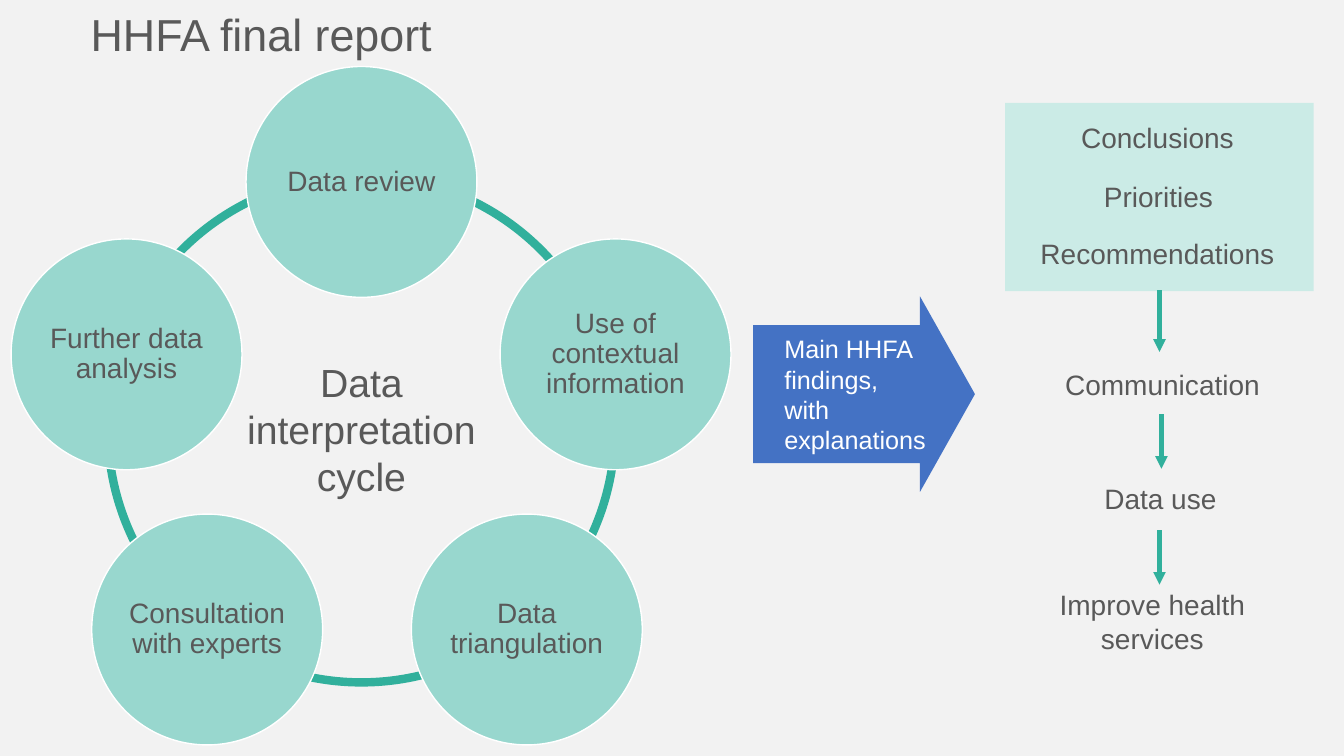
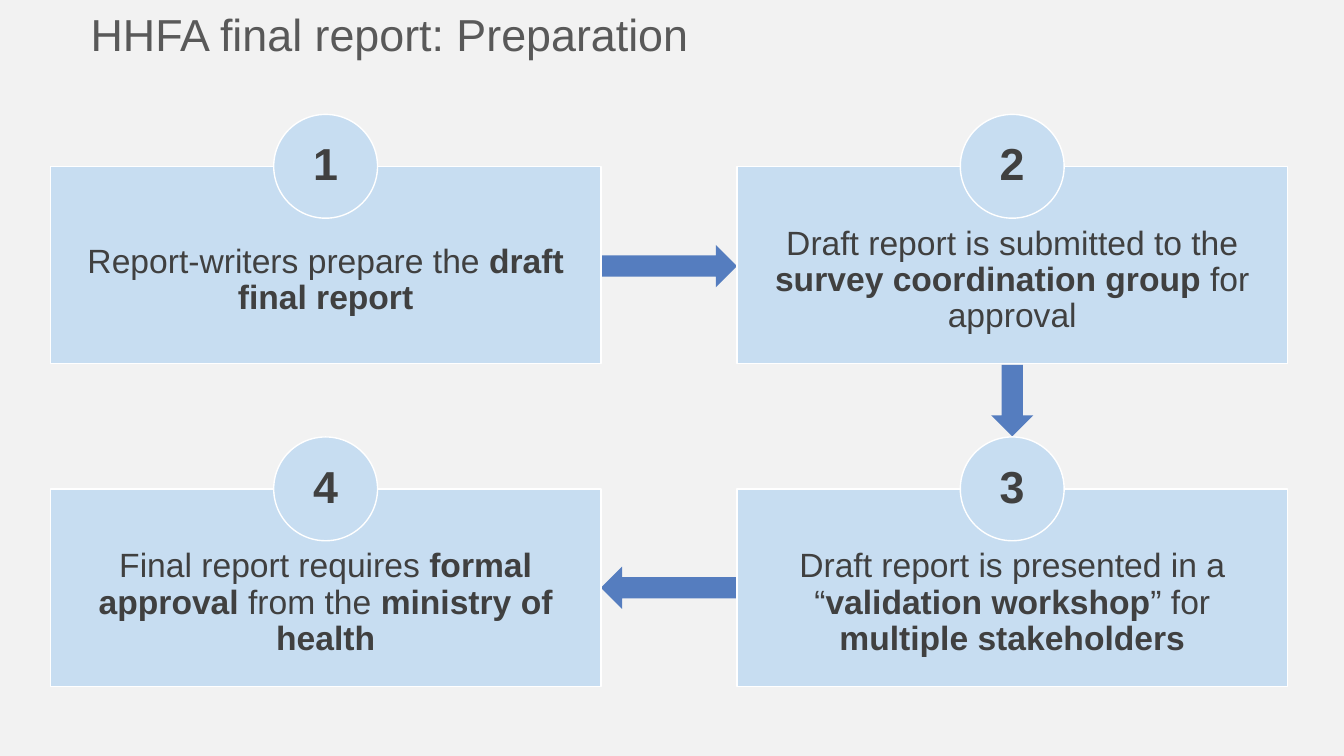
"""Build two slides on the HHFA final report: interpretation cycle and preparation steps."""
from lxml import etree
from pptx import Presentation
from pptx.dml.color import RGBColor
from pptx.enum.shapes import MSO_CONNECTOR, MSO_SHAPE
from pptx.enum.text import MSO_ANCHOR, PP_ALIGN
from pptx.oxml.ns import qn
from pptx.util import Inches, Pt

RECT, OVAL = MSO_SHAPE.RECTANGLE, MSO_SHAPE.OVAL
RIGHT, LEFT, DOWN = MSO_SHAPE.RIGHT_ARROW, MSO_SHAPE.LEFT_ARROW, MSO_SHAPE.DOWN_ARROW
STRAIGHT = MSO_CONNECTOR.STRAIGHT
TOP, MIDDLE = MSO_ANCHOR.TOP, MSO_ANCHOR.MIDDLE
START, CENTER = PP_ALIGN.LEFT, PP_ALIGN.CENTER

FONT = "Arial"
PAGE, WHITE, GREY, DARK = "F2F2F2", "FFFFFF", "595959", "404040"
TEAL, TEAL_MID, TEAL_PALE = "31B09C", "98D7CE", "CBEBE6"
BLUE, BLUE_SOFT, BLUE_PALE = "4472C4", "557DBF", "C7DDF1"


def write_text(shape, text, size=20, color=GREY, align=CENTER, anchor=MIDDLE,
               insets=(0.1, 0.05, 0.1, 0.05), spacing=1.0):
    """Write one paragraph per line; stretches between asterisks are bold."""
    frame = shape.text_frame
    frame.word_wrap = True
    frame.vertical_anchor = anchor
    frame.margin_left, frame.margin_top, frame.margin_right, frame.margin_bottom = map(Inches, insets)
    for index, line in enumerate(text.split("\n")):
        paragraph = frame.add_paragraph() if index else frame.paragraphs[0]
        paragraph.alignment = align
        paragraph.line_spacing = spacing
        for position, part in enumerate(line.split("*")):
            if part:
                run = paragraph.add_run()
                run.text = part
                run.font.name = FONT
                run.font.size = Pt(size)
                run.font.bold = position % 2 == 1
                run.font.color.rgb = RGBColor.from_string(color)


def draw(slide, kind, left, top, width, height, fill=None, line=None, weight=1):
    """Add a flat preset shape with optional fill and outline."""
    shape = slide.shapes.add_shape(kind, Inches(left), Inches(top), Inches(width), Inches(height))
    shape.shadow.inherit = False
    for part, color in ((shape.fill, fill), (shape.line.fill, line)):
        if color:
            part.solid()
            part.fore_color.rgb = RGBColor.from_string(color)
        else:
            part.background()
    if line:
        shape.line.width = Pt(weight)
    return shape


deck = Presentation()
deck.slide_width, deck.slide_height = Inches(13.33), Inches(7.5)

slides = []
for heading in ("HHFA final report", "HHFA final report: Preparation"):
    slide = deck.slides.add_slide(deck.slide_layouts[6])
    slide.background.fill.solid()
    slide.background.fill.fore_color.rgb = RGBColor.from_string(PAGE)
    title = slide.shapes.add_textbox(Inches(0.8), Inches(0.02), Inches(12.4), Inches(0.64))
    write_text(title, heading, size=32, align=START, anchor=TOP)
    slides.append(slide)
cycle_slide, steps_slide = slides

ring = draw(cycle_slide, OVAL, 1.07, 1.74, 5.03, 5.03, line=TEAL, weight=6)
write_text(ring, "Data\ninterpretation\ncycle", size=28, insets=(0, 0, 0, 0))

STAGE_SIZE = 2.29
stages = [
    ("Data review", 2.44, 0.66),
    ("Use of contextual information", 4.96, 2.37),
    ("Data triangulation", 4.08, 5.1),
    ("Consultation with experts", 0.91, 5.1),
    ("Further data analysis", 0.11, 2.37),
]
for text, left, top in stages:
    stage = draw(cycle_slide, OVAL, left, top, STAGE_SIZE, STAGE_SIZE, TEAL_MID, WHITE)
    write_text(stage, text, insets=(0, 0.02, 0, 0.02), spacing=0.9)

findings = draw(cycle_slide, RIGHT, 7.47, 2.94, 2.2, 1.94, BLUE)
findings.adjustments[0], findings.adjustments[1] = 0.705, 0.281
write_text(findings, "Main HHFA findings, with explanations", size=18, color=WHITE,
           align=START, insets=(0.31, 0.05, 0.1, 0.05))

draw(cycle_slide, RECT, 9.97, 1.02, 3.06, 1.87, TEAL_PALE)
outcomes = [
    ("Conclusions", 9.95, 1.11, 0.51),
    ("Priorities", 9.96, 1.69, 0.51),
    ("Recommendations", 9.95, 2.26, 0.51),
    ("Communication", 10, 3.52, 0.59),
    ("Data use", 9.98, 4.65, 0.59),
    ("Improve health services", 9.9, 5.87, 0.59),
]
for text, left, top, height in outcomes:
    outcome = cycle_slide.shapes.add_textbox(Inches(left), Inches(top), Inches(3.06), Inches(height))
    write_text(outcome, text)

for x, start, end in ((11.5, 2.88, 3.49), (11.52, 4.11, 4.65), (11.5, 5.26, 5.8)):
    link = cycle_slide.shapes.add_connector(STRAIGHT, Inches(x), Inches(start), Inches(x), Inches(end))
    link.line.color.rgb = RGBColor.from_string(TEAL)
    link.line.width = Pt(3)
    properties = link.element.spPr
    etree.SubElement(properties.find(qn("a:ln")), qn("a:tailEnd"), type="triangle")
    etree.SubElement(properties, qn("a:effectLst"))

flow = [
    (RIGHT, 5.96, 2.43, 1.35, 0.42),
    (DOWN, 9.83, 3.62, 0.42, 0.71),
    (LEFT, 5.96, 5.62, 1.35, 0.42),
]
for direction, left, top, width, height in flow:
    draw(steps_slide, direction, left, top, width, height, BLUE_SOFT)

STEP_WIDTH, STEP_HEIGHT, BADGE = 5.46, 1.96, 1.03
LEFT_COLUMN, RIGHT_COLUMN = 0.5, 7.31
UPPER_ROW, LOWER_ROW = 1.65, 4.85
steps = [
    ("Report-writers prepare the *draft final report*", LEFT_COLUMN, UPPER_ROW),
    ("Draft report is submitted to the *survey coordination group* for approval", RIGHT_COLUMN, UPPER_ROW),
    ("Draft report is presented in a “*validation workshop*” for *multiple stakeholders*",
     RIGHT_COLUMN, LOWER_ROW),
    ("Final report requires *formal approval* from the *ministry of health*", LEFT_COLUMN, LOWER_ROW),
]
for number, (text, left, top) in enumerate(steps, 1):
    step = draw(steps_slide, RECT, left, top, STEP_WIDTH, STEP_HEIGHT, BLUE_PALE, WHITE)
    write_text(step, text, size=24, color=DARK, insets=(0.16, 0.55, 0.16, 0.24), spacing=0.9)
    badge = draw(steps_slide, OVAL, left + (STEP_WIDTH - BADGE) / 2, top - BADGE / 2,
                 BADGE, BADGE, BLUE_PALE, WHITE)
    write_text(badge, f"*{number}*", size=32, color=DARK, insets=(0.12, 0.04, 0.12, 0.04), spacing=0.9)

deck.save("out.pptx")
